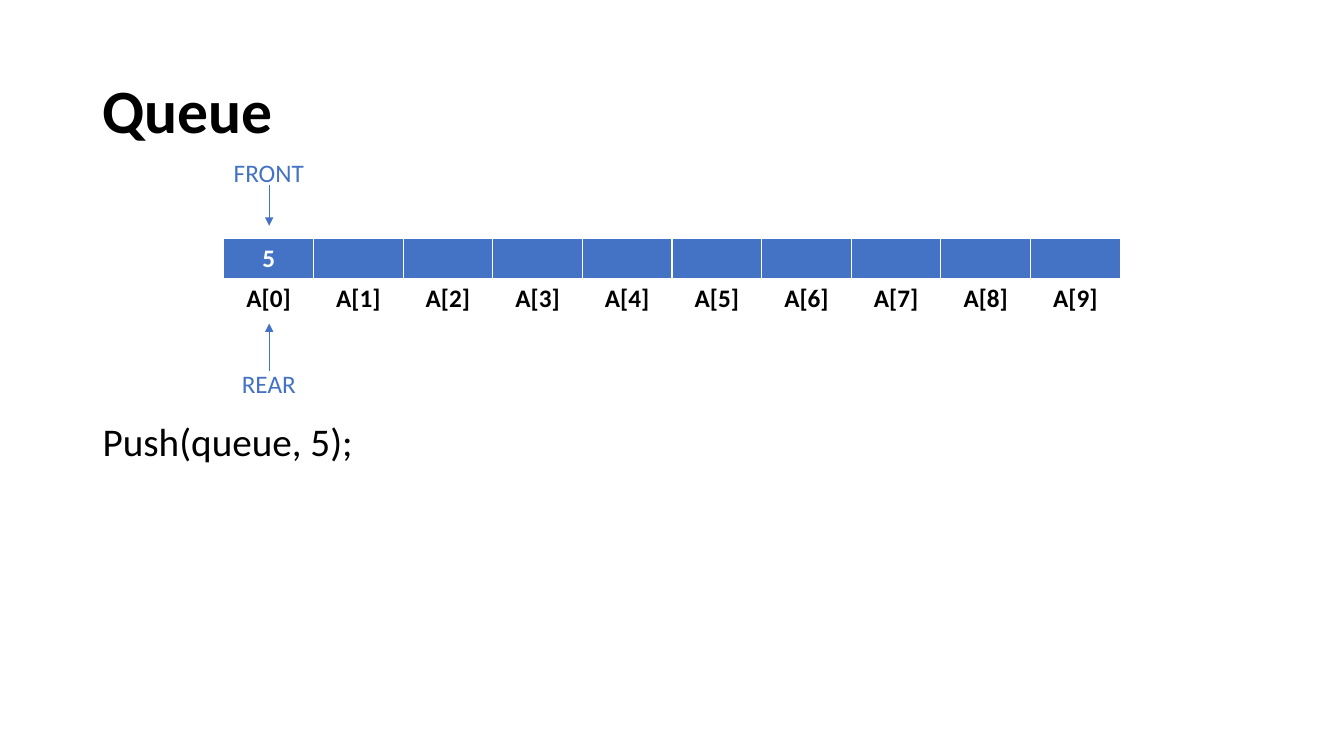
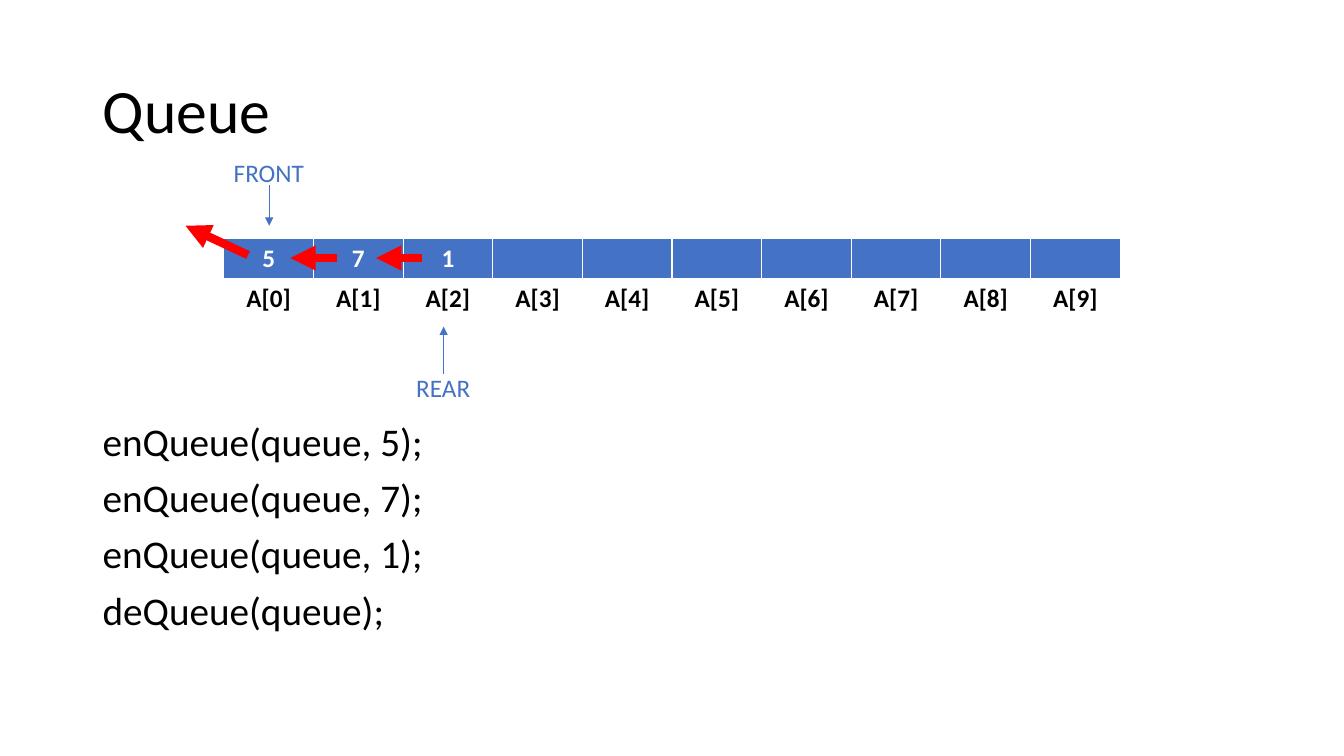
from dataclasses import dataclass
from lxml import etree
from pptx import Presentation
from pptx.dml.color import RGBColor as RGB
from pptx.enum.shapes import MSO_CONNECTOR as LINE
from pptx.enum.text import MSO_ANCHOR as ANCHOR, MSO_AUTO_SIZE as AUTO, PP_ALIGN as ALIGN
from pptx.oxml.ns import qn
from pptx.util import Inches, Pt

SIZE = 10
TITLE = "Queue"
# Each pointer: label, centre x, label top, label width, arrow start y, arrow end y
FRONT = ("FRONT", 2.67, 1.51, 0.9, 1.84, 2.24)
SLIDES = [
    dict(bold=True, items=["5"], code=["Push(queue, 5);"], moves=[],
         marks=[FRONT, ("REAR", 2.67, 3.61, 0.74, 3.68, 3.21)]),
    dict(bold=False, items=["5", "7", "1"],
         code=["enQueue(queue, 5);", "enQueue(queue, 7);",
               "enQueue(queue, 1);", "deQueue(queue);"],
         marks=[FRONT, ("REAR", 4.4, 3.64, 0.74, 3.71, 3.24)],
         moves=[(2.46, 2.53, 1.84, 2.24), (3.34, 2.56, 2.88, 2.56),
                (4.19, 2.56, 3.73, 2.56)]),
]


@dataclass(frozen=True)
class Theme:
    """Colours, type and line sizes shared by the slides."""
    font: str = "Calibri"
    ink: str = "000000"
    blue: str = "4472C4"
    white: str = "FFFFFF"
    red: str = "FF0000"
    head: int = 44
    body: int = 28
    small: int = 18
    thin: float = 0.5
    thick: int = 6


T = Theme()
TITLE_BOX = (0.92, 0.4, 11.5, 1.45)
CODE_BOX = (0.92, 4.14, 11.5, 3.19)
LEFT, WIDTH, HIGH = 2.22, 8.89, 0.41
ITEM_TOP, NAME_TOP = 2.37, 2.76


def write(frame, lines, size=T.small, color=T.ink, bold=False,
          align=ALIGN.LEFT, lead=None, before=None):
    """Fill a text frame with one paragraph per line."""
    for i, line in enumerate(lines):
        para = frame.add_paragraph() if i else frame.paragraphs[0]
        para.alignment, para.line_spacing = align, lead
        if before:
            para.space_before = Pt(before)
        run = para.add_run()
        run.text = line
        font = run.font
        font.name, font.size, font.bold = T.font, Pt(size), bold
        font.color.rgb = RGB.from_string(color)


def add_text(shapes, box, lines, wrap=True, anchor=ANCHOR.TOP, **style):
    """Add a text box."""
    frame = shapes.add_textbox(*map(Inches, box)).text_frame
    frame.word_wrap, frame.vertical_anchor = wrap, anchor
    frame.auto_size = AUTO.NONE if wrap else AUTO.SHAPE_TO_FIT_TEXT
    write(frame, lines, **style)


def add_arrow(shapes, ends, color, width):
    """Add a straight arrow with its head at the second point."""
    arrow = shapes.add_connector(LINE.STRAIGHT, *map(Inches, ends))
    arrow.line.color.rgb = RGB.from_string(color)
    arrow.line.width = Pt(width)
    etree.SubElement(arrow.line._get_or_add_ln(), qn("a:tailEnd"), type="triangle")
    etree.SubElement(arrow._element.spPr, qn("a:effectLst"))


def add_edges(cell):
    """Give a cell white borders, the lower one heavier."""
    props = cell._tc.get_or_add_tcPr()
    for side, width in (("L", 1), ("R", 1), ("T", 1), ("B", 3)):
        edge = etree.SubElement(props, qn(f"a:ln{side}"), w=str(Pt(width)))
        fill = etree.SubElement(edge, qn("a:solidFill"))
        etree.SubElement(fill, qn("a:srgbClr"), val=T.white)


def add_row(shapes, top, words, color, fill=None):
    """Add a one-row table of equal cells."""
    table = shapes.add_table(1, SIZE, Inches(LEFT), Inches(top),
                             Inches(WIDTH), Inches(HIGH)).table
    table.horz_banding = False
    for i, cell in enumerate(table.iter_cells()):
        add_edges(cell)
        if fill:
            cell.fill.solid()
            cell.fill.fore_color.rgb = RGB.from_string(fill)
        else:
            cell.fill.background()
        write(cell.text_frame, words[i:i + 1], color=color, bold=True,
              align=ALIGN.CENTER)


def add_mark(shapes, label, x, top, width, start, end):
    """Group a pointer's arrow and its label."""
    group = shapes.add_group_shape().shapes
    add_arrow(group, (x, start, x, end), T.blue, T.thin)
    add_text(group, (x - width / 2, top, width, 0.4), [label], wrap=False,
             color=T.blue)


def add_slide(deck, bold, items, code, marks, moves):
    """Build one step of the queue."""
    shapes = deck.slides.add_slide(deck.slide_layouts[6]).shapes
    add_text(shapes, TITLE_BOX, [TITLE], anchor=ANCHOR.MIDDLE, size=T.head,
             bold=bold, lead=0.9)
    add_text(shapes, CODE_BOX, code, size=T.body, lead=0.9, before=10)
    add_row(shapes, ITEM_TOP, items, T.white, T.blue)
    add_row(shapes, NAME_TOP, [f"A[{i}]" for i in range(SIZE)], T.ink)
    for mark in marks:
        add_mark(shapes, *mark)
    for move in moves:
        add_arrow(shapes, move, T.red, T.thick)


deck = Presentation()
deck.slide_width, deck.slide_height = Inches(13.33), Inches(7.5)
for step in SLIDES:
    add_slide(deck, **step)
deck.save("out.pptx")
